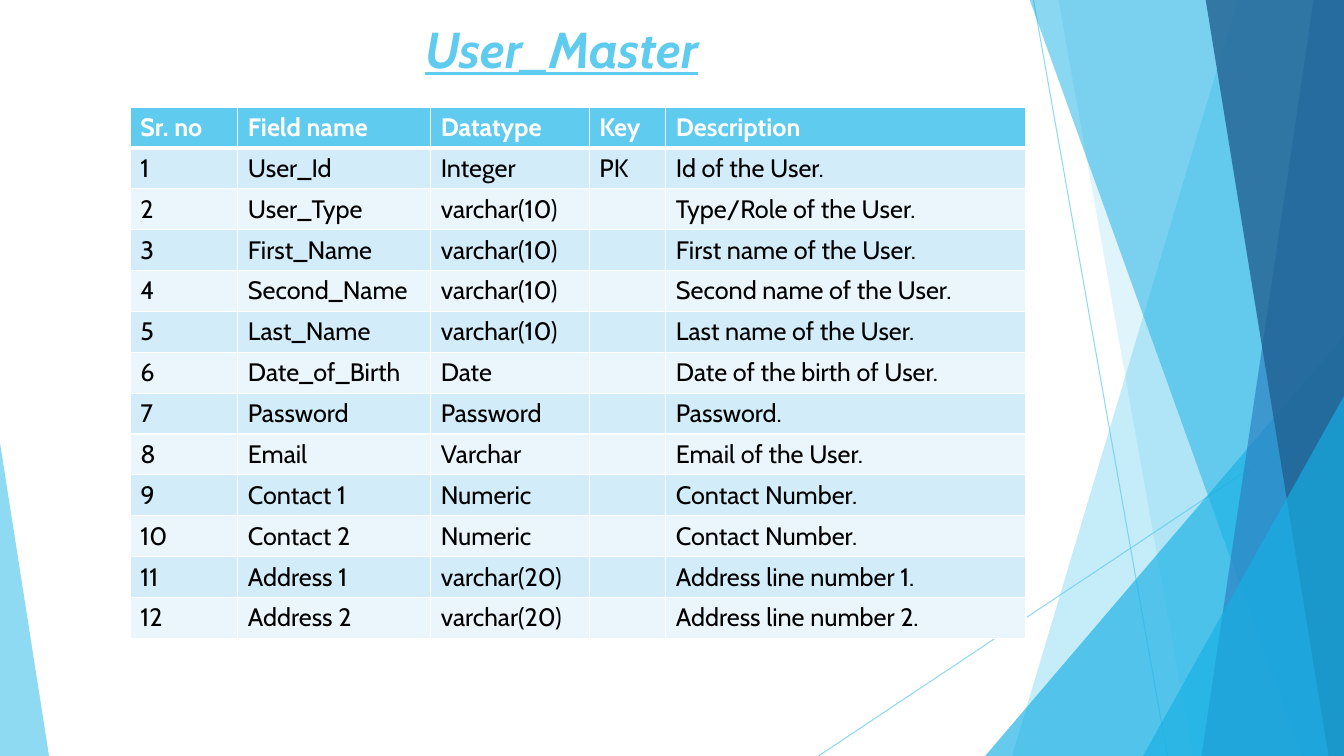
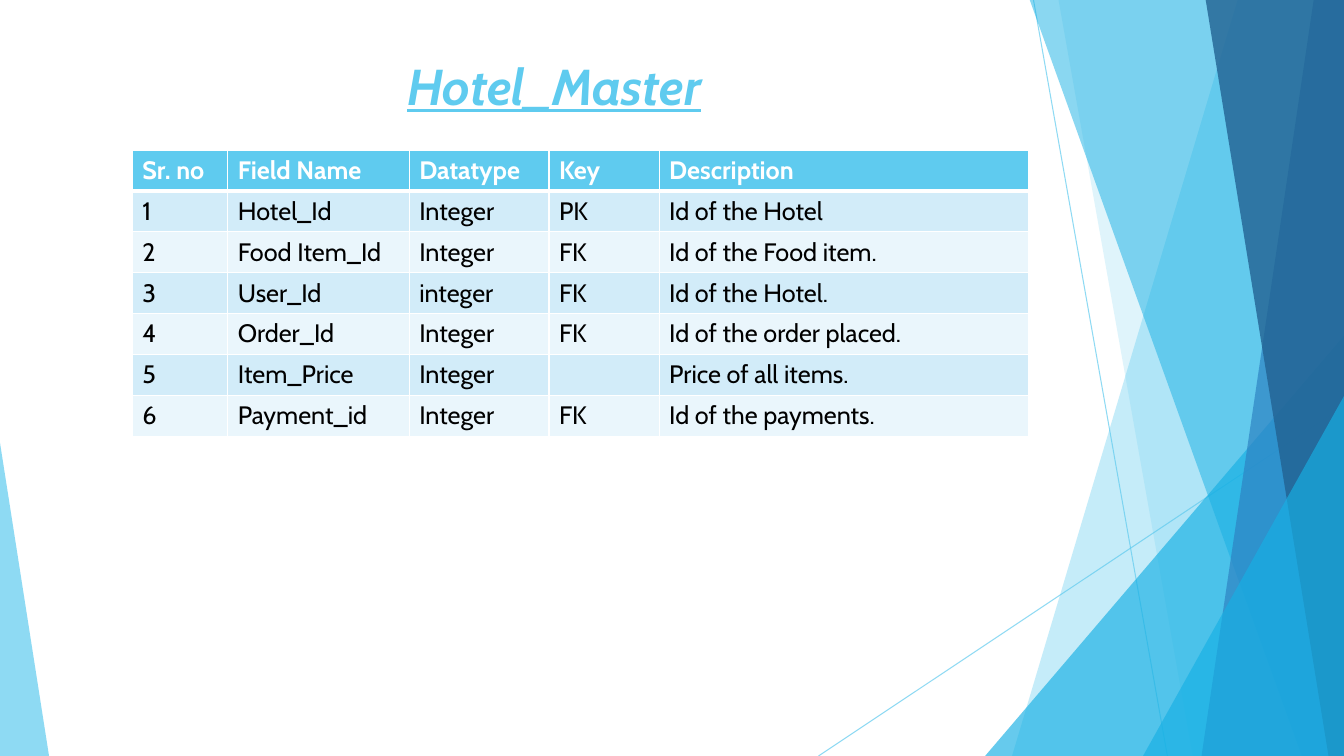
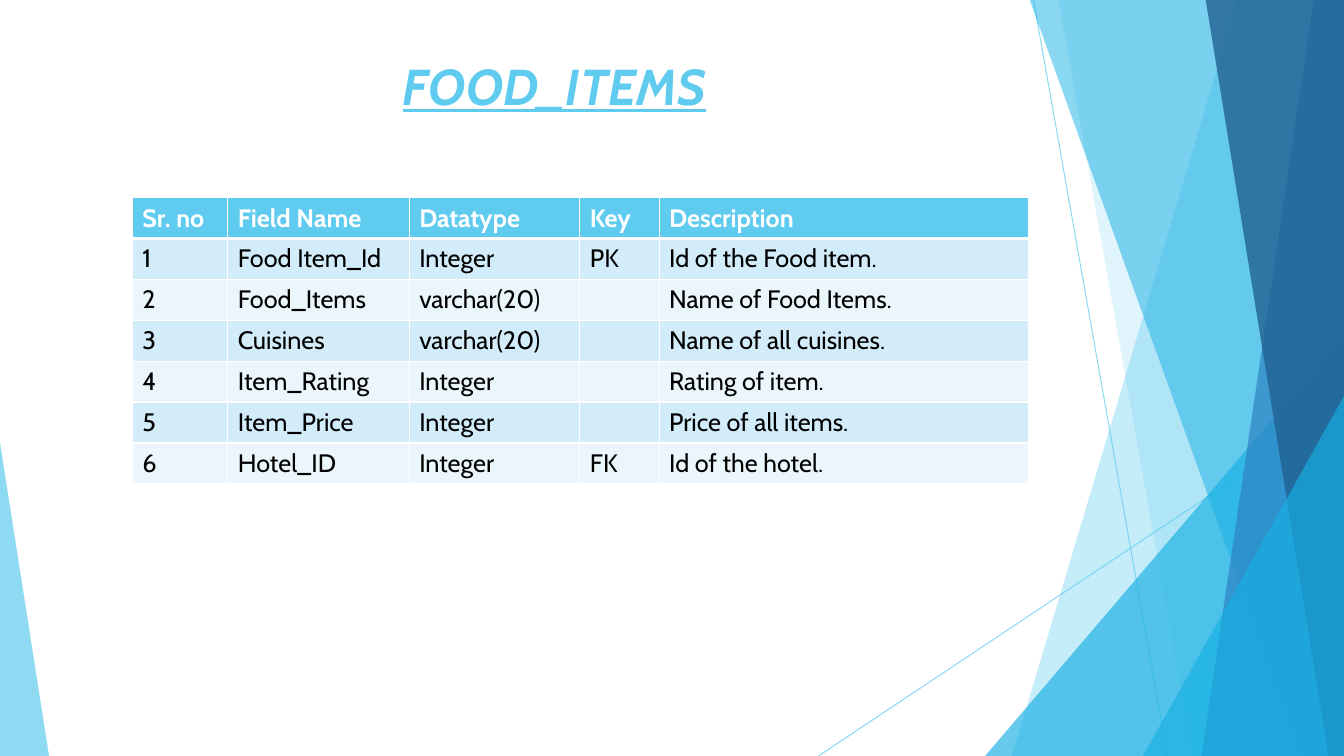
from lxml.etree import SubElement
from pptx import Presentation
from pptx.dml.color import RGBColor
from pptx.enum.shapes import MSO_CONNECTOR as CONNECTOR, MSO_SHAPE as SHAPE
from pptx.enum.text import MSO_ANCHOR as ANCHOR, MSO_AUTO_SIZE as AUTO_SIZE, PP_ALIGN as ALIGN
from pptx.oxml import parse_xml
from pptx.oxml.ns import nsdecls, qn
from pptx.util import Inches, Pt

COLOURS = {
    "sky": "5FCBEF",
    "cyan": "17B0E4",
    "blue": "2E83C3",
    "navy": "226292",
    "odd_row": "D2ECF9",
    "even_row": "EAF6FC",
    "white": "FFFFFF",
    "black": "000000",
}
RGB = {name: RGBColor.from_string(value) for name, value in COLOURS.items()}
TITLE_FONT = {"name": "Cabin", "size": Pt(36), "bold": True, "italic": True, "underline": True}
HEADER_FONT = {"name": "Cabin", "size": Pt(18), "bold": True}
BODY_FONT = {"name": "Cabin", "size": Pt(18), "bold": False}
ROW_HEIGHT = Pt(29.2)

presentation = Presentation()
presentation.slide_width = Inches(13.33)
presentation.slide_height = Inches(7.5)


def across(percent):
    return round(presentation.slide_width * percent / 100)


def down(percent):
    return round(presentation.slide_height * percent / 100)


LINES = [(76.9, 0, 86.86, 100), (100, 53.7, 60.9, 100)]
PANELS = [
    ("band", (92.1, 75.3), "sky", 36),
    ("band", (78.75, 88.75), "sky", 20),
    ("triangle", (73.3, 44.4, 26.7, 1), "cyan", 66),
    ("band", (76.6, 96.85), "cyan", 50),
    ("band", (97.75, 89.4), "blue", 70),
    ("band", (89.7, 98.85), "navy", 80),
    ("triangle", (85.05, 52.4, 14.95, 1), "cyan", 66),
    ("triangle", (0, 58.55, 3.65, 0), "sky", 70),
]
LOWER_TITLE = (6, 6.65, 70.5, 13.2)
SLIDES = [
    {
        "title": "User_Master",
        "title_box": (9.7, 1.75, 64.2, 12.4),
        "table_at": (9.7, 14.15),
        "columns": [8, 14.35, 11.8, 5.7, 26.8],
        "header": ("Sr. no", "Field name", "Datatype", "Key", "Description"),
        "fields": [
            ("User_Id", "Integer", "PK", "Id of the User."),
            ("User_Type", "varchar(10)", "", "Type/Role of the User."),
            ("First_Name", "varchar(10)", "", "First name of the User."),
            ("Second_Name", "varchar(10)", "", "Second name of the User."),
            ("Last_Name", "varchar(10)", "", "Last name of the User."),
            ("Date_of_Birth", "Date", "", "Date of the birth of User."),
            ("Password", "Password", "", "Password."),
            ("Email", "Varchar", "", "Email of the User."),
            ("Contact 1", "Numeric", "", "Contact Number."),
            ("Contact 2", "Numeric", "", "Contact Number."),
            ("Address 1", "varchar(20)", "", "Address line number 1."),
            ("Address 2", "varchar(20)", "", "Address line number 2."),
        ],
    },
    {
        "title": "Hotel_Master",
        "title_box": LOWER_TITLE,
        "table_at": (9.85, 19.85),
        "columns": [7.1, 13.5, 10.4, 8.2, 27.5],
        "header": ("Sr. no", "Field Name", "Datatype", "Key", "Description"),
        "fields": [
            ("Hotel_Id", "Integer", "PK", "Id of the Hotel"),
            ("Food Item_Id", "Integer", "FK", "Id of the Food item."),
            ("User_Id", "integer", "FK", "Id of the Hotel."),
            ("Order_Id", "Integer", "FK", "Id of the order placed."),
            ("Item_Price", "Integer", "", "Price of all items."),
            ("Payment_id", "Integer", "FK", "Id of the payments."),
        ],
    },
    {
        "title": "FOOD_ITEMS",
        "title_box": LOWER_TITLE,
        "table_at": (9.85, 26.15),
        "columns": [7.1, 13.5, 12.7, 5.9, 27.5],
        "header": ("Sr. no", "Field Name", "Datatype", "Key", "Description"),
        "fields": [
            ("Food Item_Id", "Integer", "PK", "Id of the Food item."),
            ("Food_Items", "varchar(20)", "", "Name of Food Items."),
            ("Cuisines", "varchar(20)", "", "Name of all cuisines."),
            ("Item_Rating", "Integer", "", "Rating of item."),
            ("Item_Price", "Integer", "", "Price of all items."),
            ("Hotel_ID", "Integer", "FK", "Id of the hotel."),
        ],
    },
]

layout = presentation.slide_layouts.get_by_name("Title Only")
for placeholder in list(layout.placeholders)[1:]:
    layout.shapes.element.remove(placeholder.element)

slides = [presentation.slides.add_slide(layout) for _ in SLIDES]
drawing = slides[0].shapes
decorations = []

for left, top, right, bottom in LINES:
    line = drawing.add_connector(CONNECTOR.STRAIGHT, across(left), down(top), across(right), down(bottom))
    line.line.color.rgb = RGB["sky"]
    line.line.width = Pt(0.75)
    SubElement(line.element.spPr, qn("a:effectLst"))
    decorations.append((line, 70))

for kind, geometry, colour, opacity in PANELS:
    if kind == "band":
        top_left, bottom_left = geometry
        outline = drawing.build_freeform(across(top_left), down(-0.1))
        outline.add_line_segments(
            [(across(100), down(-0.1)), (across(100), down(100)), (across(bottom_left), down(100))]
        )
        panel = outline.convert_to_shape()
    else:
        left, top, width, apex = geometry
        panel = drawing.add_shape(
            SHAPE.ISOSCELES_TRIANGLE, across(left), down(top), across(width), down(100 - top)
        )
        panel.adjustments[0] = apex
    panel.shadow.inherit = False
    panel.fill.solid()
    panel.fill.fore_color.rgb = RGB[colour]
    panel.line.fill.background()
    decorations.append((panel, opacity))

for decoration, opacity in decorations:
    for colour in decoration.element.spPr.iter(qn("a:srgbClr")):
        SubElement(colour, qn("a:alpha"), val=str(opacity * 1000))
    layout.shapes.element.append(decoration.element)

for slide, content in zip(slides, SLIDES):
    title = slide.shapes.title
    left, top, width, height = content["title_box"]
    title.left, title.top = across(left), down(top)
    title.width, title.height = across(width), down(height)
    title.text = content["title"]
    title.text_frame.auto_size = AUTO_SIZE.NONE
    title.text_frame.vertical_anchor = ANCHOR.TOP
    paragraph = title.text_frame.paragraphs[0]
    paragraph.alignment = ALIGN.CENTER
    title_font = paragraph.runs[0].font
    title_font.color.rgb = RGB["sky"]
    for attribute, value in TITLE_FONT.items():
        setattr(title_font, attribute, value)

    rows = [content["header"]]
    rows += [(str(number), *field) for number, field in enumerate(content["fields"], 1)]
    columns = content["columns"]
    left, top = content["table_at"]
    frame = slide.shapes.add_table(
        len(rows), len(columns), across(left), down(top), across(sum(columns)), ROW_HEIGHT * len(rows)
    )
    table = frame.table
    for column, width in zip(table.columns, columns):
        column.width = across(width)
    for row_index, values in enumerate(rows):
        table.rows[row_index].height = ROW_HEIGHT
        if row_index == 0:
            fill, ink, font_format = "sky", "white", HEADER_FONT
        else:
            fill, ink, font_format = ("odd_row" if row_index % 2 else "even_row"), "black", BODY_FONT
        for column_index, value in enumerate(values):
            cell = table.cell(row_index, column_index)
            cell.text = value
            cell.fill.solid()
            cell.fill.fore_color.rgb = RGB[fill]
            cell_font = cell.text_frame.paragraphs[0].font
            cell_font.color.rgb = RGB[ink]
            for attribute, setting in font_format.items():
                setattr(cell_font, attribute, setting)

    for cell_index, properties in enumerate(list(frame.element.iter(qn("a:tcPr")))):
        row_index = cell_index // len(columns)
        widths = {"L": 1, "R": 1, "T": 3 if row_index == 1 else 1, "B": 3 if row_index == 0 else 1}
        for position, (side, width) in enumerate(widths.items()):
            border = parse_xml(
                f'<a:ln{side} {nsdecls("a")} w="{Pt(width)}"><a:solidFill>'
                f'<a:srgbClr val="{COLOURS["white"]}"/></a:solidFill></a:ln{side}>'
            )
            properties.insert(position, border)

presentation.save("out.pptx")
